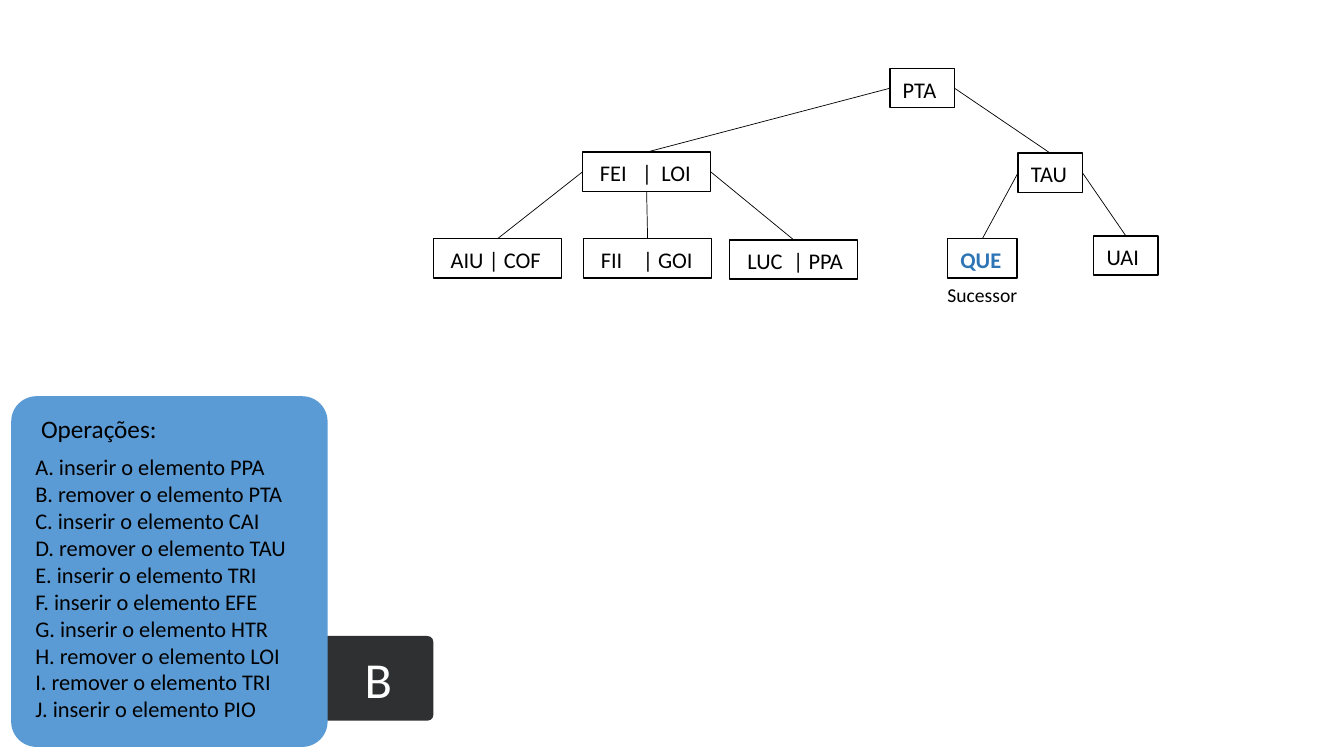
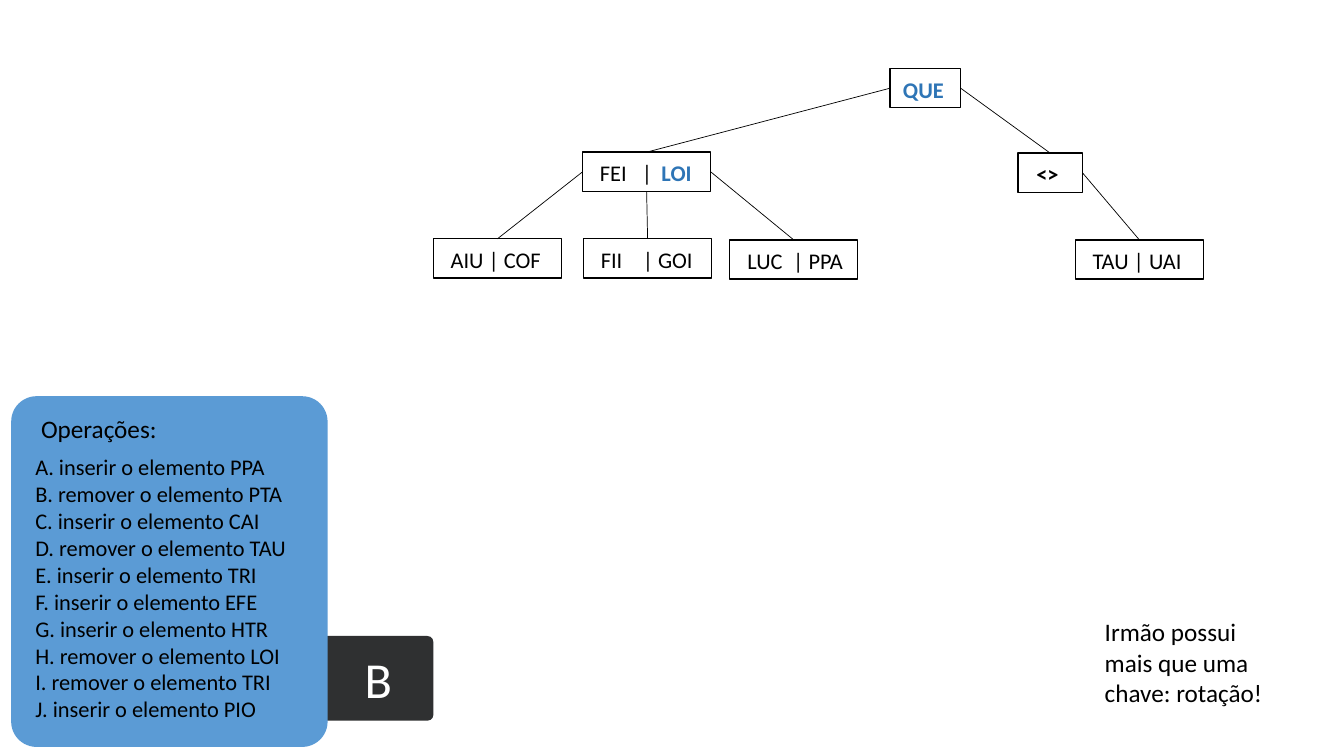
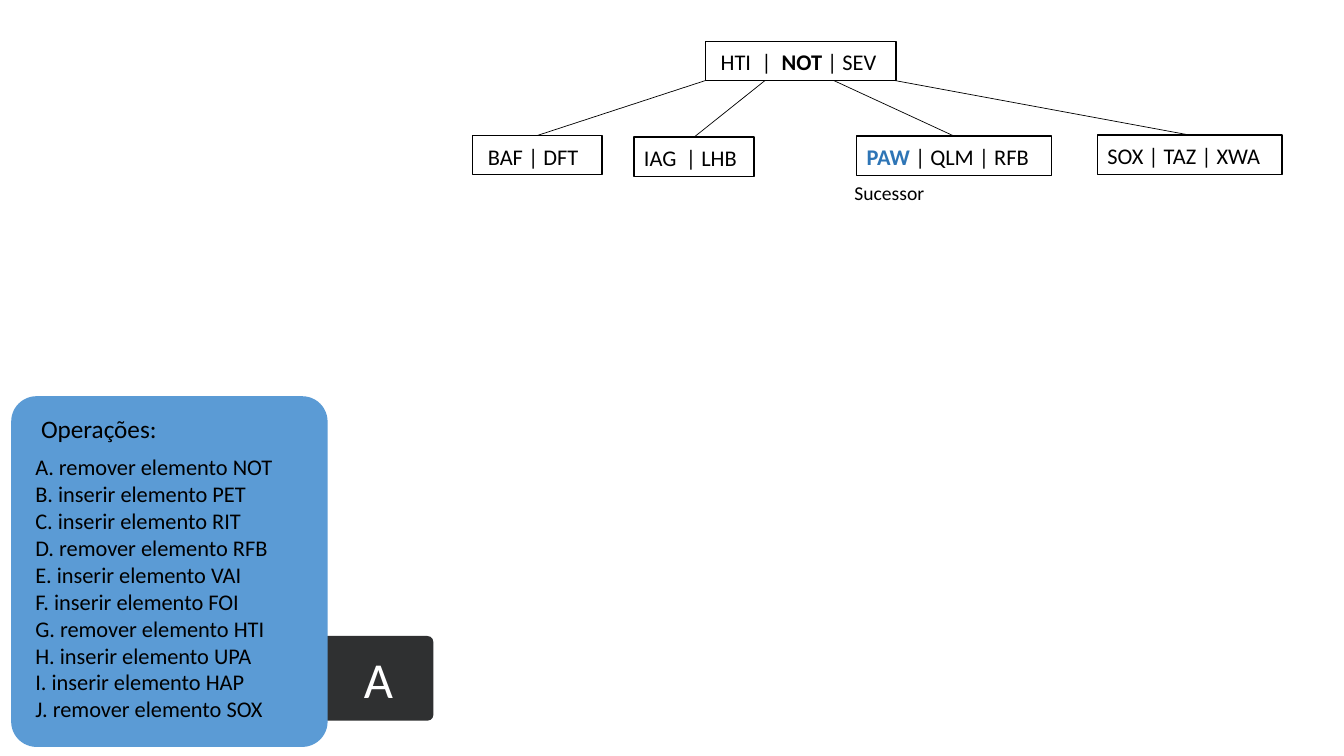
import pptx
import pptx.util
import pptx.dml.color
import pptx.enum.shapes
import pptx.enum.text
import pptx.oxml.ns
import lxml.etree

Pt = pptx.util.Pt
Kind = pptx.enum.shapes.MSO_SHAPE
Wire = pptx.enum.shapes.MSO_CONNECTOR
Align = pptx.enum.text.PP_ALIGN
Anchor = pptx.enum.text.MSO_ANCHOR
Fit = pptx.enum.text.MSO_AUTO_SIZE
qn = pptx.oxml.ns.qn

TOP, LEFT, BOTTOM, RIGHT = range(4)


class Deck:
    """Draws search-tree slides in one shared style."""

    hues = {"ink": "000000", "paper": "FFFFFF", "panel": "5B9BD5",
            "tab": "2F3031", "key": "2E75B6"}
    looks = {"plain": ("ink", False), "bold": ("ink", True),
             "key": ("key", True), "light": ("paper", False)}
    face = "Calibri"

    def __init__(self):
        self.show = pptx.Presentation()
        self.show.slide_width, self.show.slide_height = Pt(960), Pt(540)
        self.slide = None

    def hue(self, name):
        return pptx.dml.color.RGBColor.from_string(self.hues[name])

    def tint(self, font, look):
        name, font.bold = self.looks[look]
        font.color.rgb = self.hue(name)

    def line(self, para, parts, size, align=Align.LEFT):
        para.alignment = align
        para.space_before = Pt(0)
        para.font.name, para.font.size = self.face, Pt(size)
        for text, look in parts:
            run = para.add_run()
            run.text = text
            if len(parts) > 1:
                self.tint(run.font, look)
        if len(parts) == 1:
            self.tint(para.font, parts[0][1])

    def lines(self, frame, rows, size, align=Align.LEFT):
        frame.word_wrap = True
        frame.auto_size = Fit.NONE
        frame.vertical_anchor = Anchor.TOP
        for spot, row in enumerate(rows):
            para = frame.add_paragraph() if spot else frame.paragraphs[0]
            self.line(para, [(row, "plain")], size, align)

    def shape(self, kind, x, y, w, h, fill, edge=None):
        item = self.slide.shapes.add_shape(kind, Pt(x), Pt(y), Pt(w), Pt(h))
        item.shadow.inherit = False
        item.fill.solid()
        item.fill.fore_color.rgb = self.hue(fill)
        if edge:
            item.line.color.rgb = self.hue(edge)
            item.line.width = Pt(1)
        else:
            item.line.fill.background()
        return item

    def place(self, item, x, y, w, h):
        item.left, item.top, item.width, item.height = Pt(x), Pt(y), Pt(w), Pt(h)
        item.element.getparent().append(item.element)

    def page(self, steps, mark):
        self.slide = self.show.slides.add_slide(self.show.slide_layouts[1])
        tab = self.shape(Kind.ROUNDED_RECTANGLE, 211, 454.3, 98.6, 60.5, "tab")
        tab.adjustments[0] = 0.07
        frame = tab.text_frame
        frame.margin_left, frame.margin_right = Pt(23), Pt(3)
        frame.vertical_anchor = Anchor.MIDDLE
        self.line(frame.paragraphs[0], [(mark, "light")], 36, Align.CENTER)
        panel = self.shape(Kind.ROUNDED_RECTANGLE, 8, 283, 226, 250.5, "panel")
        panel.adjustments[0] = 0.08
        title, body = self.slide.placeholders
        self.place(body, 18, 320.4, 206.6, 201)
        self.lines(body.text_frame, steps, 16)
        for para in body.text_frame.paragraphs:
            props = para._p.get_or_add_pPr()
            props.set("marL", "0")
            props.set("indent", "0")
            none = lxml.etree.Element(qn("a:buNone"))
            props.find(qn("a:defRPr")).addprevious(none)
        self.place(title, 18, 291.6, 200, 29)
        title.text_frame.margin_left = Pt(11.3)
        self.lines(title.text_frame, ["Operações:"], 18)

    def node(self, x, y, w, pad, *parts, tabs=(30, 44)):
        box = self.shape(Kind.RECTANGLE, x, y, w, 28, "paper", "ink")
        frame = box.text_frame
        frame.word_wrap = True
        frame.vertical_anchor = Anchor.MIDDLE
        frame.margin_left, frame.margin_right = Pt(pad), Pt(0)
        frame.margin_top, frame.margin_bottom = Pt(1.4), Pt(0)
        para = frame.paragraphs[0]
        parts = [(part, "plain") if isinstance(part, str) else part
                 for part in parts]
        self.line(para, parts, 16)
        if any("\t" in text for text, look in parts):
            stops = lxml.etree.Element(qn("a:tabLst"))
            for stop in tabs:
                lxml.etree.SubElement(stops, qn("a:tab"),
                                      pos=str(Pt(stop)), algn="l")
            rest = para._p.get_or_add_pPr().find(qn("a:defRPr"))
            rest.addprevious(stops)
        return box

    def link(self, node, child, side=None, shift=0):
        wire = self.slide.shapes.add_connector(
            Wire.STRAIGHT, node.left + Pt(shift), node.top + node.height,
            child.left, child.top)
        if side is not None:
            wire.begin_connect(node, side)
        wire.end_connect(child, TOP)
        wire.line.color.rgb = self.hue("ink")
        wire.line.width = Pt(0.5)
        props = wire.element.find(qn("p:spPr"))
        lxml.etree.SubElement(props, qn("a:effectLst"))

    def note(self, x, y, w, h, rows, size, align=Align.LEFT):
        box = self.slide.shapes.add_textbox(Pt(x), Pt(y), Pt(w), Pt(h))
        self.lines(box.text_frame, rows, size, align)

    def heir(self, x, y):
        self.note(x, y, 88.6, 24.5, ["Sucessor"], 14, Align.CENTER)

    def branch(self, root, *keys):
        top = self.node(416.2, 108.7, 91.4, 12.3, *keys)
        low = self.node(309.6, 170.6, 91.4, 12.3, "AIU | COF")
        mid = self.node(416.9, 170.6, 91.4, 12.3, "FII\t| GOI")
        high = self.node(521.3, 171.4, 91.4, 12.6, "LUC\t| PPA", tabs=(32.7,))
        self.link(root, top, LEFT)
        for child, side in ((low, LEFT), (mid, BOTTOM), (high, RIGHT)):
            self.link(top, child, side)


def label(steps):
    return [f"{mark}. {step}" for mark, step in zip("ABCDEFGHIJ", steps)]


def main():
    deck = Deck()
    steps = label([
        "inserir o elemento PPA", "remover o elemento PTA",
        "inserir o elemento CAI", "remover o elemento TAU",
        "inserir o elemento TRI", "inserir o elemento EFE",
        "inserir o elemento HTR", "remover o elemento LOI",
        "remover o elemento TRI", "inserir o elemento PIO"])

    deck.page(steps, "B")
    root = deck.node(635.8, 49, 46, 9, "PTA")
    deck.branch(root, "FEI\t|\tLOI")
    tau = deck.node(727.2, 109.4, 46, 9.2, "TAU")
    que = deck.node(676.8, 170.6, 49.7, 9.2, ("QUE", "key"))
    uai = deck.node(781.2, 168.5, 46, 9.2, "UAI")
    deck.link(root, tau, RIGHT)
    deck.link(tau, que, LEFT)
    deck.link(tau, uai, RIGHT)
    deck.heir(657.4, 198.7)

    deck.page(steps, "B")
    root = deck.node(635.8, 49, 50.4, 9.2, ("QUE", "key"))
    deck.branch(root, "FEI\t|\t", ("LOI", "key"))
    gap = deck.node(727.2, 109.4, 46, 13, ("<>", "bold"))
    pair = deck.node(768.2, 171.4, 91.4, 12.3, "TAU | UAI")
    deck.link(root, gap, RIGHT)
    deck.link(gap, pair, RIGHT)
    deck.note(782, 437, 145.4, 72.7,
              ["Irmão possui", "mais que uma", "chave: rotação!"], 18)

    deck.page(label([
        "remover elemento NOT", "inserir elemento PET",
        "inserir elemento RIT", "remover elemento RFB",
        "inserir elemento VAI", "inserir elemento FOI",
        "remover elemento HTI", "inserir elemento UPA",
        "inserir elemento HAP", "remover elemento SOX"]), "A")
    root = deck.node(504, 29.5, 136, 10.8,
                     "HTI\t|\t", ("NOT", "bold"), " | SEV", tabs=(29, 43.6))
    baf = deck.node(337.7, 96.8, 92.2, 10.8, "BAF | DFT")
    iag = deck.node(452.9, 98, 85.7, 7.2, "IAG\t| LHB")
    paw = deck.node(612, 97.2, 139, 7.2, ("PAW", "key"), " | QLM | RFB")
    sox = deck.node(784, 96.5, 131.8, 7.2, "SOX | TAZ | XWA")
    for child, shift in ((baf, 0), (iag, 42.5), (paw, 91.5), (sox, 135)):
        deck.link(root, child, shift=shift)
    deck.heir(591, 126)

    deck.show.save("out.pptx")


if __name__ == "__main__":
    main()
